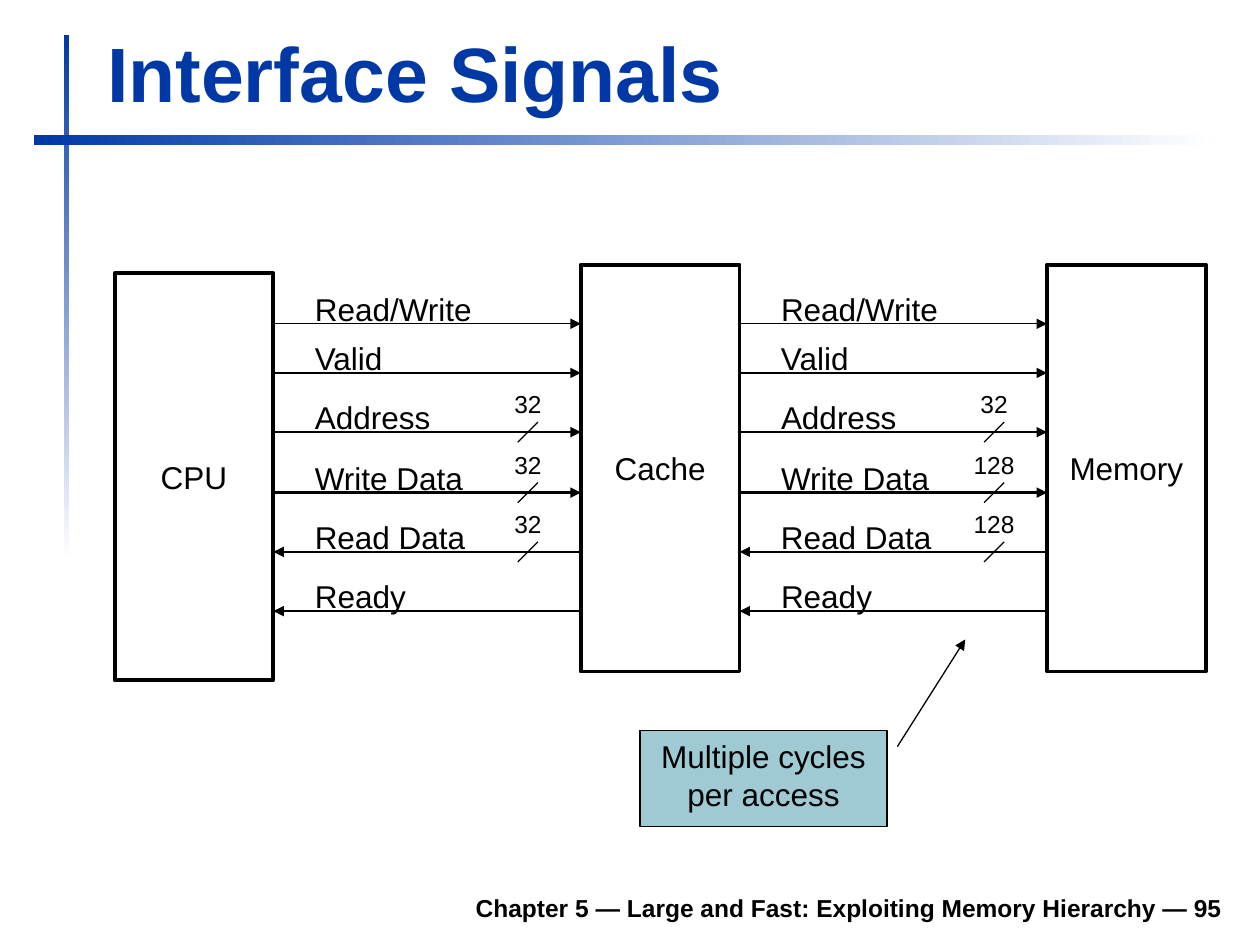
from dataclasses import dataclass

from lxml import etree
from pptx import Presentation
from pptx.dml.color import RGBColor
from pptx.enum.shapes import MSO_CONNECTOR, MSO_SHAPE
from pptx.enum.text import MSO_ANCHOR, MSO_AUTO_SIZE, PP_ALIGN
from pptx.oxml.ns import qn
from pptx.util import Inches, Pt


@dataclass(frozen=True)
class Theme:
    font: str = "Arial"
    blue: RGBColor = RGBColor(0x00, 0x39, 0xA6)
    white: RGBColor = RGBColor(0xFF, 0xFF, 0xFF)
    black: RGBColor = RGBColor(0x00, 0x00, 0x00)
    callout: RGBColor = RGBColor(0x9F, 0xCA, 0xD3)
    title_size: int = 44
    body_size: int = 18
    small_size: int = 14
    thin: float = 0.75
    bus: float = 1.5
    block: float = 2.25


THEME = Theme()

TITLE = "Interface Signals"
FOOTER = "Chapter 5 — Large and Fast: Exploiting Memory Hierarchy — 95"
CALLOUT = "Multiple cycles per access"
CALLOUT_POINTS = (0.166, 1.042, -0.954, 1.317)

# (name, top)
BLOCKS = [("CPU", 2.17), ("Cache", 2.1), ("Memory", 2.1)]

# (name, label width, wire height on slide, arrow end, bus widths for each link)
SIGNALS = [
    ("Read/Write", 1.45, 2.57, "tailEnd", None),
    ("Valid", 0.76, 2.96, "tailEnd", None),
    ("Address", 1.12, 3.43, "tailEnd", ("32", "32")),
    ("Write Data", 1.38, 3.91, "tailEnd", ("32", "128")),
    ("Read Data", 1.4, 4.38, "headEnd", ("32", "128")),
    ("Ready", 0.92, 4.85, "headEnd", None),
]

# (left, top, width, height, gradient angle)
RULES = [(0.51, 0.28, 0.04, 4.17, 270), (0.27, 1.07, 9.37, 0.08, 0)]

BLOCK_LEFT, BLOCK_PITCH = 0.91, 3.7
BLOCK_WIDTH, BLOCK_HEIGHT = 1.26, 3.23
WIRE_LENGTH = BLOCK_PITCH - BLOCK_WIDTH
BUS_CENTRE, SLASH_REACH = 2.02, 0.08
BUS_LABEL_WIDTHS = {"32": 0.44, "128": 0.54}


def inches(*values):
    return [Inches(round(value, 2)) for value in values]


def write(shape, text, size, align=PP_ALIGN.LEFT, anchor=MSO_ANCHOR.TOP,
          wrap=True, bold=False, color=THEME.black):
    frame = shape.text_frame
    frame.word_wrap = wrap
    frame.vertical_anchor = anchor
    paragraph = frame.paragraphs[0]
    paragraph.alignment = align
    run = paragraph.add_run()
    run.text = text
    run.font.name = THEME.font
    run.font.size = Pt(size)
    run.font.bold = bold
    run.font.color.rgb = color


def add_text(slide, box, text, size, **style):
    shape = slide.shapes.add_textbox(*inches(*box))
    write(shape, text, size, **style)
    return shape


def add_label(slide, box, text, size, align=PP_ALIGN.LEFT):
    shape = add_text(slide, box, text, size, align=align, wrap=False)
    shape.text_frame.auto_size = MSO_AUTO_SIZE.SHAPE_TO_FIT_TEXT


def add_box(slide, preset, box, line_width):
    shape = slide.shapes.add_shape(preset, *inches(*box))
    shape.shadow.inherit = False
    shape.fill.background()
    shape.line.color.rgb = THEME.black
    shape.line.width = Pt(line_width)
    return shape


def add_arrowhead(shape, end):
    etree.SubElement(shape.line._get_or_add_ln(), qn(f"a:{end}"), type="triangle")


def add_line(slide, points, width, arrow_end=None):
    line = slide.shapes.add_connector(MSO_CONNECTOR.STRAIGHT, *inches(*points))
    line.line.color.rgb = THEME.black
    line.line.width = Pt(width)
    if arrow_end:
        add_arrowhead(line, arrow_end)
    etree.SubElement(line._element.spPr, qn("a:effectLst"))


def add_rule(slide, left, top, width, height, angle):
    """Add a bar that fades from blue to white."""
    shape = add_box(slide, MSO_SHAPE.RECTANGLE, (left, top, width, height), THEME.thin)
    shape.line.fill.background()
    shape.fill.gradient()
    shape.fill.gradient_angle = angle
    for stop, color in zip(shape.fill.gradient_stops, (THEME.blue, THEME.white)):
        stop.color.rgb = color


def add_title(slide):
    title = slide.shapes.title
    title.left, title.top, title.width, title.height = inches(0.75, 0.16, 9.03, 0.83)
    write(title, TITLE, THEME.title_size, anchor=MSO_ANCHOR.BOTTOM,
          bold=True, color=THEME.blue)


def add_signal(slide, link, signal):
    name, label_width, y, arrow_end, bus_widths = signal
    start = BLOCK_LEFT + link * BLOCK_PITCH + BLOCK_WIDTH
    add_line(slide, (start, y, start + WIRE_LENGTH, y),
             THEME.bus if bus_widths else THEME.thin, arrow_end)
    add_label(slide, (start + 0.23, y - 0.32, label_width, 0.4), name, THEME.body_size)
    if bus_widths:
        bits = bus_widths[link]
        centre, width = start + BUS_CENTRE, BUS_LABEL_WIDTHS[bits]
        add_line(slide, (centre - SLASH_REACH, y + SLASH_REACH,
                         centre + SLASH_REACH, y - SLASH_REACH), THEME.thin)
        add_label(slide, (centre - width / 2, y - 0.39, width, 0.33), bits,
                  THEME.small_size, PP_ALIGN.CENTER)


def main():
    presentation = Presentation()
    presentation.slide_width, presentation.slide_height = inches(10, 7.5)
    slide = presentation.slides.add_slide(presentation.slide_layouts[5])

    for rule in RULES:
        add_rule(slide, *rule)
    add_text(slide, (1.85, 6.98, 7.95, 0.39), FOOTER, THEME.small_size,
             align=PP_ALIGN.RIGHT, anchor=MSO_ANCHOR.BOTTOM, bold=True)
    add_title(slide)

    for column, (name, top) in enumerate(BLOCKS):
        box = (BLOCK_LEFT + column * BLOCK_PITCH, top, BLOCK_WIDTH, BLOCK_HEIGHT)
        block = add_box(slide, MSO_SHAPE.RECTANGLE, box, THEME.block)
        write(block, name, THEME.body_size, align=PP_ALIGN.CENTER,
              anchor=MSO_ANCHOR.MIDDLE, wrap=False)

    for link in range(len(BLOCKS) - 1):
        for signal in SIGNALS:
            add_signal(slide, link, signal)

    callout = add_box(slide, MSO_SHAPE.LINE_CALLOUT_1, (5.08, 5.8, 1.96, 0.76), THEME.thin)
    callout.fill.solid()
    callout.fill.fore_color.rgb = THEME.callout
    for index, value in enumerate(CALLOUT_POINTS):
        callout.adjustments[index] = value
    add_arrowhead(callout, "tailEnd")
    write(callout, CALLOUT, THEME.body_size, align=PP_ALIGN.CENTER)

    presentation.save("out.pptx")


if __name__ == "__main__":
    main()
